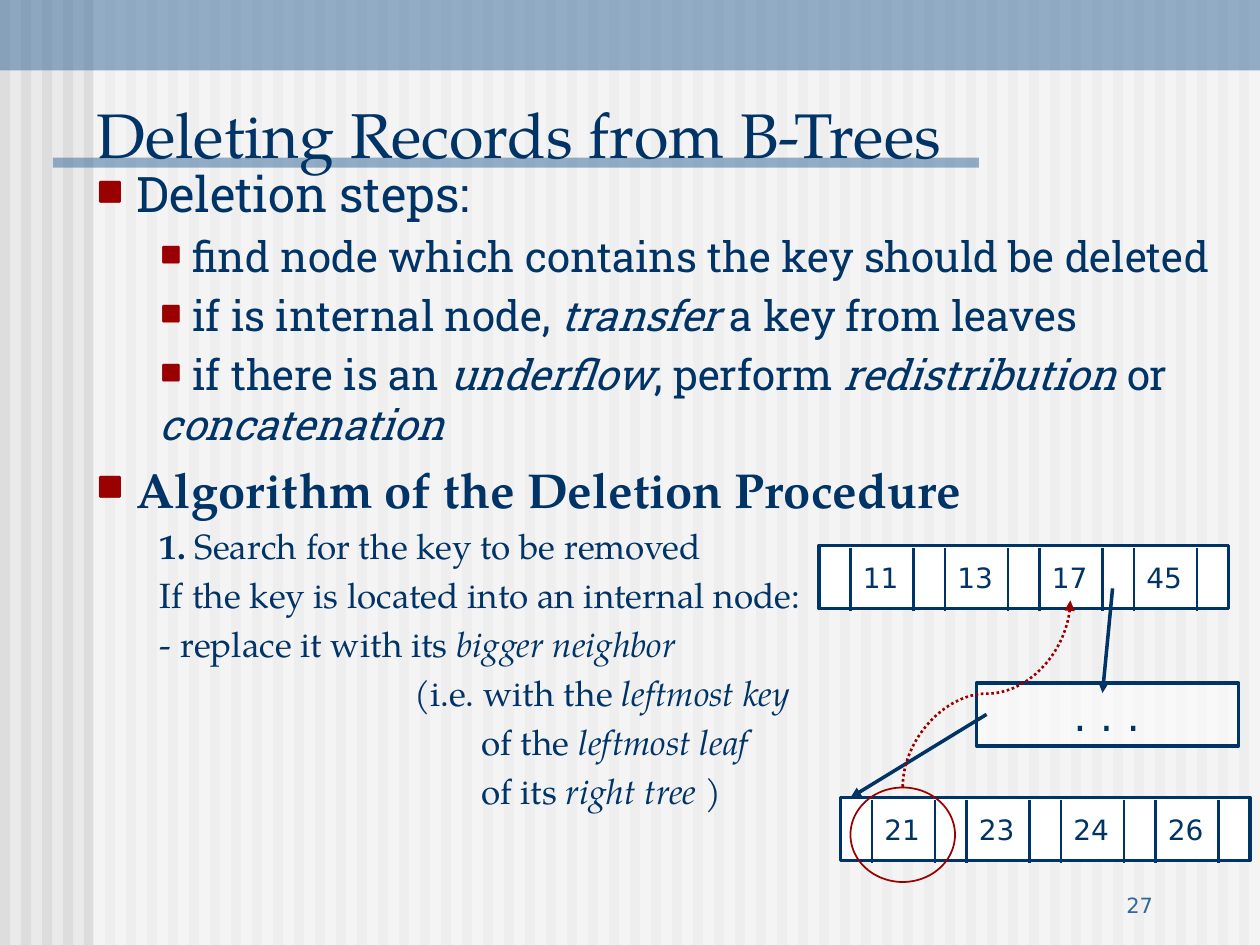
from dataclasses import dataclass

from lxml import etree
from pptx import Presentation
from pptx.dml.color import RGBColor
from pptx.enum.dml import MSO_LINE
from pptx.enum.shapes import MSO_CONNECTOR, MSO_SHAPE
from pptx.enum.text import MSO_ANCHOR, PP_ALIGN
from pptx.oxml.ns import qn
from pptx.util import Inches, Pt

RECT, OVAL = MSO_SHAPE.RECTANGLE, MSO_SHAPE.OVAL
STRAIGHT, CURVE = MSO_CONNECTOR.STRAIGHT, MSO_CONNECTOR.CURVE
TOP, BOTTOM = MSO_ANCHOR.TOP, MSO_ANCHOR.BOTTOM
LEFT, RIGHT = PP_ALIGN.LEFT, PP_ALIGN.RIGHT
DOTTED = MSO_LINE.ROUND_DOT


@dataclass(frozen=True)
class Theme:
    paper: str = "EAEAEA"
    stripe: str = "DDDDDD"
    white: str = "FFFFFF"
    band: str = "336699"
    ink: str = "003366"
    accent: str = "9A0000"
    serif: str = "TeX Gyre Pagella"
    slab: str = "Roboto Slab"
    sans: str = "DejaVu Sans"
    title: int = 36
    heading: int = 28
    step: int = 24
    detail: int = 20
    key: int = 16
    number: int = 12


THEME = Theme()

# Paragraph styles: size, font, left margin in inches, bullet size in percent
STYLES = {
    "heading": (THEME.heading, THEME.slab, 0, 75),
    "algorithm": (THEME.heading, THEME.serif, 0, 75),
    "step": (THEME.step, THEME.slab, 0.5, 70),
    "detail": (THEME.detail, THEME.serif, 0.5, None),
    "aside": (THEME.detail, THEME.serif, 2.52, None),
    "aside more": (THEME.detail, THEME.serif, 3.05, None),
}

# Each run is its text and its format: "" plain, "i" italic, "b" bold
BODY = [
    ("heading", [(" Deletion steps:", "")]),
    ("step", [(" find node which contains the key should be deleted", "")]),
    ("step", [(" if is internal node, ", ""), ("transfer", "i"), (" a key from leaves", "")]),
    ("step", [(" if there is an ", ""), ("underflow", "i"), (", perform ", ""),
              ("redistribution", "i"), (" or ", ""), ("concatenation", "i")]),
    ("algorithm", [(" Algorithm of the Deletion Procedure", "b")]),
    ("detail", [("1.", "b"), (" Search for the key to be removed", "")]),
    ("detail", [("If the key is located into an internal node:", "")]),
    ("detail", [("- replace it with its ", ""), ("bigger neighbor", "i")]),
    ("aside", [("(i.e. with the ", ""), ("leftmost key", "i")]),
    ("aside more", [("of the ", ""), ("leftmost leaf", "i")]),
    ("aside more", [("of its ", ""), ("right tree ", "i"), (")", "")]),
]


def add_block(slide, box, fill=None, alpha=100, line=None, width=2, kind=RECT):
    block = slide.shapes.add_shape(kind, *map(Inches, box))
    block.shadow.inherit = False
    if fill:
        block.fill.solid()
        block.fill.fore_color.rgb = RGBColor.from_string(fill)
        if alpha < 100:
            color = block.fill._xPr.find(qn("a:solidFill"))[0]
            etree.SubElement(color, qn("a:alpha"), val=str(alpha * 1000))
    else:
        block.fill.background()
    if line:
        block.line.color.rgb = RGBColor.from_string(line)
        block.line.width = Pt(width)
    else:
        block.line.fill.background()


def add_line(slide, start, end, color=THEME.ink, width=2.0, arrow=False, kind=STRAIGHT):
    line = slide.shapes.add_connector(kind, *map(Inches, (*start, *end)))
    line.line.color.rgb = RGBColor.from_string(color)
    line.line.width = Pt(width)
    if arrow:
        etree.SubElement(line.line._get_or_add_ln(), qn("a:tailEnd"), type="triangle")
    etree.SubElement(line._element.spPr, qn("a:effectLst"))
    return line


def add_frame(slide, box, anchor=TOP):
    frame = slide.shapes.add_textbox(*map(Inches, box)).text_frame
    frame.word_wrap = True
    frame.vertical_anchor = anchor
    return frame


def add_run(paragraph, text, size, font, color=THEME.ink, style=""):
    run = paragraph.add_run()
    run.text = text
    formats = {"name": font, "size": Pt(size), "bold": style == "b", "italic": style == "i"}
    for attribute, value in formats.items():
        setattr(run.font, attribute, value)
    run.font.color.rgb = RGBColor.from_string(color)


def add_label(slide, box, text, size, font, color=THEME.ink, anchor=TOP, align=LEFT):
    paragraph = add_frame(slide, box, anchor).paragraphs[0]
    paragraph.alignment = align
    add_run(paragraph, text, size, font, color)


def set_bullet(properties, percent):
    color = etree.SubElement(properties, qn("a:buClr"))
    etree.SubElement(color, qn("a:srgbClr"), val=THEME.accent)
    etree.SubElement(properties, qn("a:buSzPct"), val=str(percent * 1000))
    etree.SubElement(properties, qn("a:buFont"), typeface=THEME.serif)
    etree.SubElement(properties, qn("a:buChar"), char="■")


def add_backdrop(slide, box):
    left, top, width, height = box
    slide.background.fill.solid()
    slide.background.fill.fore_color.rgb = RGBColor.from_string(THEME.paper)
    stripes = 60
    for index in range(stripes):
        add_block(slide, (left + index * width / stripes, top, 0.08, height), THEME.stripe)
    margin = 0.74
    add_block(slide, (left + margin, top, width - margin, height), THEME.white, 50)
    add_block(slide, (left, top, width, 0.56), THEME.band, 50)
    add_block(slide, (left + 0.42, top + 1.25, 7.35, 0.08), THEME.band, 50)


def add_body(slide, box):
    frame = add_frame(slide, box)
    for index, (style, runs) in enumerate(BODY):
        size, font, margin, bullet = STYLES[style]
        paragraph = frame.add_paragraph() if index else frame.paragraphs[0]
        paragraph.space_before = Pt(size * 0.2)
        properties = paragraph._p.get_or_add_pPr()
        properties.set("marL", str(Inches(margin)))
        properties.set("indent", "0")
        if bullet:
            set_bullet(properties, bullet)
        for text, run_style in runs:
            add_run(paragraph, text, size, font, style=run_style)


def add_node(slide, box, keys):
    left, top, width, height = box
    pointer, cell = 0.25, 0.5
    add_block(slide, box, THEME.white, line=THEME.ink)
    for index, key in enumerate(keys):
        x = left + pointer + index * (pointer + cell)
        add_label(slide, (x, top + 0.07, cell, 0.37), key, THEME.key, THEME.sans)
        for edge in (x, x + cell):
            add_line(slide, (edge, top + 0.02), (edge, top + 0.02 + height), width=1.5)


def add_tree(slide, box):
    left, top, width, height = box
    row = 0.5
    add_node(slide, (left, top, 3.25, row), ["11", "13", "17", "45"])
    add_node(slide, (left + 0.17, top + 2, 3.25, row), ["21", "23", "24", "26"])

    # Middle level and the pointers through it
    add_block(slide, (left + 1.25, top + 1.09, 2.08, row), THEME.white, 50, THEME.ink)
    add_line(slide, (left + 2.33, top + 0.34), (left + 2.25, top + 1.17), arrow=True)
    add_label(slide, (left + 1.92, top + 1.09, 1.58, row), ". . .", THEME.step, THEME.sans)
    add_line(slide, (left + 1.33, top + 1.34), (left + 0.25, top + 2), arrow=True)

    # Replacement key and its way up, a curve turned to leave vertically
    add_block(slide, (left + 0.25, top + 1.92, 0.83, 0.75), line=THEME.accent, width=1, kind=OVAL)
    rise = add_line(slide, (left + 0.59, top + 0.51), (left + 2.07, top + 1.84),
                    THEME.accent, 1.5, arrow=True, kind=CURVE)
    rise.line.dash_style = DOTTED
    rise._element.spPr.xfrm.set("rot", str(270 * 60000))


def main():
    deck = Presentation()
    deck.slide_width, deck.slide_height = Inches(10), Inches(7.5)
    slide = deck.slides.add_slide(deck.slide_layouts[6])
    add_backdrop(slide, (0, 0, 10, 7.5))
    add_label(slide, (7.17, 6.83, 2.08, 0.5), "27", THEME.number, THEME.sans,
              THEME.band, BOTTOM, RIGHT)
    add_label(slide, (0.67, 0.58, 8.4, 0.83), "Deleting Records from B-Trees",
              THEME.title, THEME.serif, anchor=BOTTOM)
    add_body(slide, (0.67, 1.25, 9.33, 5.67))
    add_tree(slide, (6.5, 4.33, 3.42, 2.67))
    deck.save("out.pptx")


if __name__ == "__main__":
    main()
